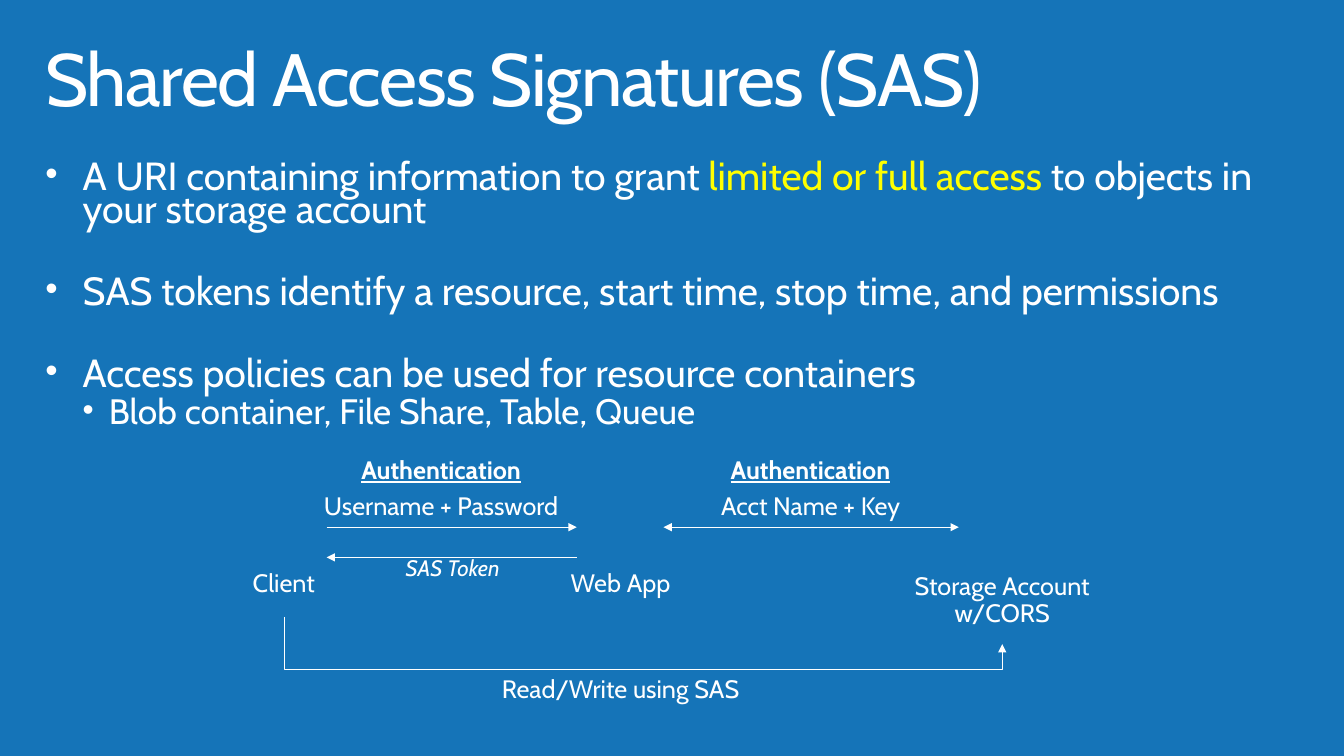
from dataclasses import dataclass

from lxml import etree
from pptx import Presentation
from pptx.dml.color import RGBColor
from pptx.enum.shapes import MSO_CONNECTOR as Connector
from pptx.enum.text import MSO_ANCHOR as Anchor, PP_ALIGN as Align
from pptx.oxml.ns import qn
from pptx.util import Inches, Pt


@dataclass(frozen=True)
class Theme:
    font: str = "Cabin"
    background: RGBColor = RGBColor(0x15, 0x74, 0xB8)
    text: RGBColor = RGBColor(0xFF, 0xFF, 0xFF)
    highlight: RGBColor = RGBColor(0xFF, 0xFF, 0x00)
    title_size: float = 52.9
    bullet_size: float = 28
    sub_bullet_size: float = 25.2
    label_size: float = 18
    token_size: float = 16
    line_width: float = 0.75


THEME = Theme()


# Text
def add_run(paragraph, text, *, size, color=THEME.text, bold=False, italic=False,
            underline=False, tracking=None):
    run = paragraph.add_run()
    run.text = text
    font = run.font
    font.name, font.size, font.color.rgb = THEME.font, Pt(size), color
    font.bold, font.italic, font.underline = bold, italic, underline
    if tracking is not None:
        run._r.get_or_add_rPr().set("spc", str(int(tracking * 100)))
    return run


def add_text_frame(slide, left, top, width, height, side_inset, top_inset):
    box = slide.shapes.add_textbox(*map(Inches, (left, top, width, height)))
    frame = box.text_frame
    frame.word_wrap = True
    frame.vertical_anchor = Anchor.TOP
    frame.margin_left = frame.margin_right = Inches(side_inset)
    frame.margin_top = frame.margin_bottom = Inches(top_inset)
    return frame


def next_paragraph(frame, index):
    return frame.add_paragraph() if index else frame.paragraphs[0]


def set_bullet(paragraph, indent, hanging):
    properties = paragraph._p.get_or_add_pPr()
    properties.set("marL", str(Inches(indent)))
    properties.set("indent", str(-Inches(hanging)))
    etree.SubElement(properties, qn("a:buSzPct")).set("val", "90000")
    etree.SubElement(properties, qn("a:buFont")).set("typeface", "Arial")
    etree.SubElement(properties, qn("a:buChar")).set("char", "•")


def add_title(slide, text):
    frame = add_text_frame(slide, 0.29, 0.32, 12.62, 0.98, 0.16, 0.1)
    paragraph = frame.paragraphs[0]
    paragraph.line_spacing = 0.9
    add_run(paragraph, text, size=THEME.title_size, tracking=-1)


def add_bullets(slide, bullets):
    frame = add_text_frame(slide, 0.29, 1.53, 12.62, 2.91, 0.16, 0.1)
    for index, (level, space_before, parts) in enumerate(bullets):
        paragraph = next_paragraph(frame, index)
        paragraph.level = level
        set_bullet(paragraph, *((0.63, 0.26) if level else (0.37, 0.37)))
        paragraph.line_spacing = 0.7
        paragraph.space_before = Pt(space_before)
        size = THEME.sub_bullet_size if level else THEME.bullet_size
        for text, color in parts:
            add_run(paragraph, text, size=size, color=color)


def add_label(slide, left, top, width, height, text, *, heading=None,
              size=THEME.label_size, italic=False):
    frame = add_text_frame(slide, left, top, width, height, 0.2, 0.16)
    lines = [heading, text] if heading else [text]
    for index, line in enumerate(lines):
        is_heading = line == heading
        paragraph = next_paragraph(frame, index)
        paragraph.alignment = Align.CENTER
        paragraph.line_spacing = 0.9
        paragraph.space_after = Pt(6)
        add_run(paragraph, line, size=size, bold=is_heading,
                underline=is_heading, italic=italic)


# Arrows
def add_arrow(slide, start, end, *, kind=Connector.STRAIGHT, head=False, tail=False):
    connector = slide.shapes.add_connector(kind, *map(Inches, start + end))
    connector.line.color.rgb = THEME.text
    connector.line.width = Pt(THEME.line_width)
    outline = connector.line._get_or_add_ln()
    for tag, shown in (("a:headEnd", head), ("a:tailEnd", tail)):
        if shown:
            etree.SubElement(outline, qn(tag)).set("type", "triangle")
    etree.SubElement(connector._element.spPr, qn("a:effectLst"))
    return connector


def add_under_arrow(slide, start, end, floor):
    """Elbow arrow that drops from start to floor, then rises to end."""
    (x1, y1), (x2, y2) = start, end
    run, rise = x2 - x1, y2 - y1
    center_x, center_y = (x1 + x2) / 2, (y1 + y2) / 2
    connector = add_arrow(
        slide,
        (center_x + rise / 2, center_y - run / 2),
        (center_x - rise / 2, center_y + run / 2),
        kind=Connector.ELBOW, tail=True)
    properties = connector._element.spPr
    properties.find(qn("a:xfrm")).set("rot", str(270 * 60000))
    geometry = properties.find(qn("a:prstGeom"))
    adjustments = geometry.find(qn("a:avLst"))
    if adjustments is None:
        adjustments = etree.SubElement(geometry, qn("a:avLst"))
    guide = etree.SubElement(adjustments, qn("a:gd"))
    guide.set("name", "adj1")
    guide.set("fmla", f"val {round((floor - y1) / rise * 100000)}")


def add_flow(slide):
    # Participants
    add_label(slide, 2.01, 5.53, 1.61, 0.6, "Client")
    add_label(slide, 5.35, 5.53, 1.61, 0.6, "Web App")
    add_label(slide, 8.68, 5.53, 2.52, 0.87, "Storage Account w/CORS")

    # Messages
    add_label(slide, 2.92, 4.38, 2.91, 0.95, "Username + Password",
              heading="Authentication")
    add_label(slide, 6.76, 4.38, 2.56, 0.95, "Acct Name + Key",
              heading="Authentication")
    add_label(slide, 3.73, 5.41, 1.52, 0.57, "SAS Token",
              size=THEME.token_size, italic=True)
    add_label(slide, 4.44, 6.58, 3.43, 0.6, "Read/Write using SAS")

    # Arrows between participants
    add_arrow(slide, (3.24, 5.23), (5.72, 5.23), tail=True)
    add_arrow(slide, (3.24, 5.53), (5.72, 5.53), head=True)
    add_arrow(slide, (6.58, 5.23), (9.51, 5.23), head=True, tail=True)
    add_under_arrow(slide, (2.82, 6.12), (9.94, 6.39), floor=6.64)


def main():
    presentation = Presentation()
    presentation.slide_width, presentation.slide_height = Inches(13.33), Inches(7.5)
    slide = presentation.slides.add_slide(presentation.slide_layouts[6])
    slide.background.fill.solid()
    slide.background.fill.fore_color.rgb = THEME.background

    add_title(slide, "Shared Access Signatures (SAS)")
    add_bullets(slide, [
        (0, 0, [("A URI containing information to grant ", THEME.text),
                ("limited or full access ", THEME.highlight),
                ("to objects in your storage account", THEME.text)]),
        (0, 35, [("SAS tokens identify a resource, start time, stop time, "
                  "and permissions", THEME.text)]),
        (0, 35, [("Access policies can be used for resource containers", THEME.text)]),
        (1, 5, [("Blob container, File Share, Table, Queue", THEME.text)]),
    ])
    add_flow(slide)
    presentation.save("out.pptx")


if __name__ == "__main__":
    main()
